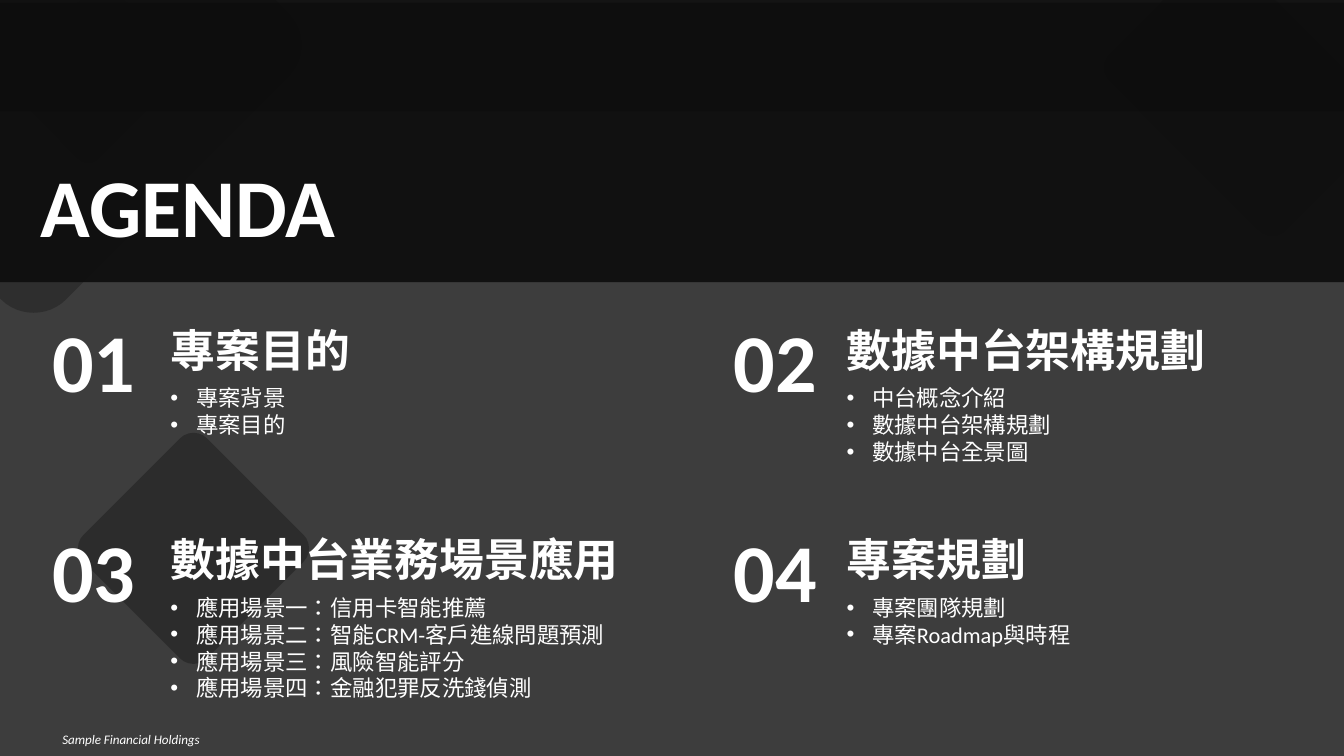
"""Build a dark agenda slide with four numbered sections."""
from dataclasses import dataclass
from typing import NamedTuple

from lxml import etree
from pptx import Presentation
from pptx import util as u
from pptx.dml.color import RGBColor
from pptx.enum import lang, shapes, text
from pptx.oxml.ns import qn

WIDTH = 10
HEIGHT = WIDTH * 9 / 16
LEFT_COLUMN, COLUMN_STEP = 0.27, 5.07
TOP_ROW, ROW_STEP = 2.26, 1.56
COLUMNS = 2


@dataclass(frozen=True)
class Theme:
    font: str = "Calibri"
    ink: RGBColor = RGBColor(0x0D, 0x0D, 0x0D)
    light: RGBColor = RGBColor(0xFF, 0xFF, 0xFF)
    display: int = 44
    heading: int = 24
    body: int = 12
    footer: int = 7


class Box(NamedTuple):
    left: float
    top: float
    width: float
    height: float

    def emu(self) -> list:
        return [u.Inches(length) for length in self]


class Panel(NamedTuple):
    box: Box
    opacity: int
    tilted: bool = False


class Section(NamedTuple):
    heading: str
    topics: list[str]


THEME = Theme()
BACKDROP = Panel(Box(-0.02, 0.02, WIDTH + 0.02, HEIGHT), 80)
DECOR = [
    Panel(Box(0, 0, WIDTH, 0.83), 70),
    Panel(Box(0.79, 3.43, 1.3, 1.3), 34, True),
    Panel(Box(8.62, -0.23, 1.3, 1.86), 30, True),
    Panel(Box(0.17, 0.08, 1.08, 0.93), 30, True),
]
TITLE_BAND = Panel(Box(0, 0, WIDTH, 2.1), 90)
SECTIONS = [
    Section("專案目的", ["專案背景", "專案目的"]),
    Section("數據中台架構規劃", ["中台概念介紹", "數據中台架構規劃", "數據中台全景圖"]),
    Section("數據中台業務場景應用", [
        "應用場景一：信用卡智能推薦",
        "應用場景二：智能CRM-客戶進線問題預測",
        "應用場景三：風險智能評分",
        "應用場景四：金融犯罪反洗錢偵測",
    ]),
    Section("專案規劃", ["專案團隊規劃", "專案Roadmap與時程"]),
]


def shade(shape, opacity: int) -> None:
    """Fill a shape with translucent ink and no outline."""
    shape.shadow.inherit = False
    shape.line.fill.background()
    shape.fill.solid()
    shape.fill.fore_color.rgb = THEME.ink
    colour = shape._element.spPr.find(qn("a:solidFill")).find(qn("a:srgbClr"))
    etree.SubElement(colour, qn("a:alpha"), val=str(opacity * 1000))


def draw_panel(slide, panel: Panel) -> None:
    """Draw a flat panel or a tilted rounded tile."""
    kinds = shapes.MSO_SHAPE
    kind = kinds.ROUNDED_RECTANGLE if panel.tilted else kinds.RECTANGLE
    shape = slide.shapes.add_shape(kind, *panel.box.emu())
    if panel.tilted:
        shape.rotation = 315
        shape.adjustments[0] = 0.11
    shade(shape, panel.opacity)


def curve(start: tuple, pull: tuple, push: tuple, end: tuple, steps: int = 12) -> list[tuple]:
    """Return points along a cubic curve, without its start."""
    points = []
    for step in range(1, steps + 1):
        t = step / steps
        weights = ((1 - t) ** 3, 3 * t * (1 - t) ** 2, 3 * t * t * (1 - t), t ** 3)
        points.append(tuple(
            sum(weight * value for weight, value in zip(weights, axis))
            for axis in zip(start, pull, push, end)
        ))
    return points


def draw_corner_tile(slide) -> None:
    """Draw the large rounded tile cropped by the top left corner."""
    right = curve((2.15, 0.1), (2.28, 0.23), (2.28, 0.44), (2.15, 0.57))
    bottom = curve((0.49, 2.23), (0.36, 2.36), (0.14, 2.36), (0.01, 2.23))
    points = [(2.05, 0), (2.15, 0.1), *right, (0.49, 2.23), *bottom, (0, 2.22)]
    outline = slide.shapes.build_freeform(0, 0)
    outline.add_line_segments([(u.Inches(x), u.Inches(y)) for x, y in points], close=True)
    shade(outline.convert_to_shape(), 30)


def write(shape, lines: list[str], size: int, bold: bool = False, italic: bool = False,
          align=text.PP_ALIGN.LEFT, inset: float = 0.1, bullets: bool = False) -> None:
    """Write equally formatted paragraphs into a shape."""
    frame = shape.text_frame
    frame.text = "\n".join(lines)
    frame.word_wrap = True
    frame.auto_size = text.MSO_AUTO_SIZE.SHAPE_TO_FIT_TEXT
    frame.margin_left = frame.margin_right = u.Inches(inset)
    frame.margin_top = frame.margin_bottom = u.Inches(0.05)
    for paragraph in frame.paragraphs:
        paragraph.alignment = align
        if bullets:
            add_bullet(paragraph)
        font = paragraph.font
        font.name, font.size = THEME.font, u.Pt(size)
        font.bold, font.italic = bold, italic
        font.color.rgb = THEME.light
        for run in paragraph.runs:
            run.font.language_id = lang.MSO_LANGUAGE_ID.TRADITIONAL_CHINESE


def add_bullet(paragraph) -> None:
    """Give a paragraph a round bullet with a hanging indent."""
    properties = paragraph._p.get_or_add_pPr()
    indent = u.Inches(0.19)
    properties.set("marL", str(indent))
    properties.set("indent", str(-indent))
    etree.SubElement(properties, qn("a:buFont"), typeface="Arial")
    etree.SubElement(properties, qn("a:buChar"), char="•")


def add_text(slide, box: Box, lines: list[str], size: int, **style) -> None:
    """Add a text box."""
    write(slide.shapes.add_textbox(*box.emu()), lines, size, **style)


def draw_section(slide, index: int, section: Section) -> None:
    """Draw one numbered section in its grid cell."""
    row, column = divmod(index, COLUMNS)
    left, top = LEFT_COLUMN + column * COLUMN_STEP, TOP_ROW + row * ROW_STEP
    text_left = left + 0.88 - column * 0.04
    topics_height = 0.1 + 0.2 * len(section.topics)
    add_text(slide, Box(text_left + 0.02, top + 0.55, 3.99, topics_height),
             section.topics, THEME.body, bullets=True)
    add_text(slide, Box(text_left, top + 0.09, 3.99, 0.5),
             [section.heading], THEME.heading, bold=True, inset=0.12)
    add_text(slide, Box(left, top, 1.18, 0.84),
             [f"{index + 1:02}"], THEME.display, bold=True, inset=0.12)


def draw_title(slide) -> None:
    """Place the title above its dark band."""
    draw_panel(slide, TITLE_BAND)
    title = slide.shapes.title
    title.left, title.top, title.width, title.height = Box(0.2, 1.1, 6.77, 0.84).emu()
    write(title, ["AGENDA"], THEME.display, bold=True)
    title.text_frame.vertical_anchor = text.MSO_ANCHOR.MIDDLE
    slide.shapes._spTree.append(title._element)


def main() -> None:
    """Build and save the slide."""
    deck = Presentation()
    deck.slide_width, deck.slide_height = u.Inches(WIDTH), u.Inches(HEIGHT)
    slide = deck.slides.add_slide(deck.slide_layouts.get_by_name("Title Only"))
    slide.background.fill.solid()
    slide.background.fill.fore_color.rgb = THEME.light
    draw_panel(slide, BACKDROP)
    draw_corner_tile(slide)
    for panel in DECOR:
        draw_panel(slide, panel)
    add_text(slide, Box(0.06, 5.39, 1.83, 0.22), ["Sample Financial Holdings"],
             THEME.footer, italic=True, align=text.PP_ALIGN.CENTER)
    for index, section in enumerate(SECTIONS):
        draw_section(slide, index, section)
    draw_title(slide)
    deck.save("out.pptx")


if __name__ == "__main__":
    main()
